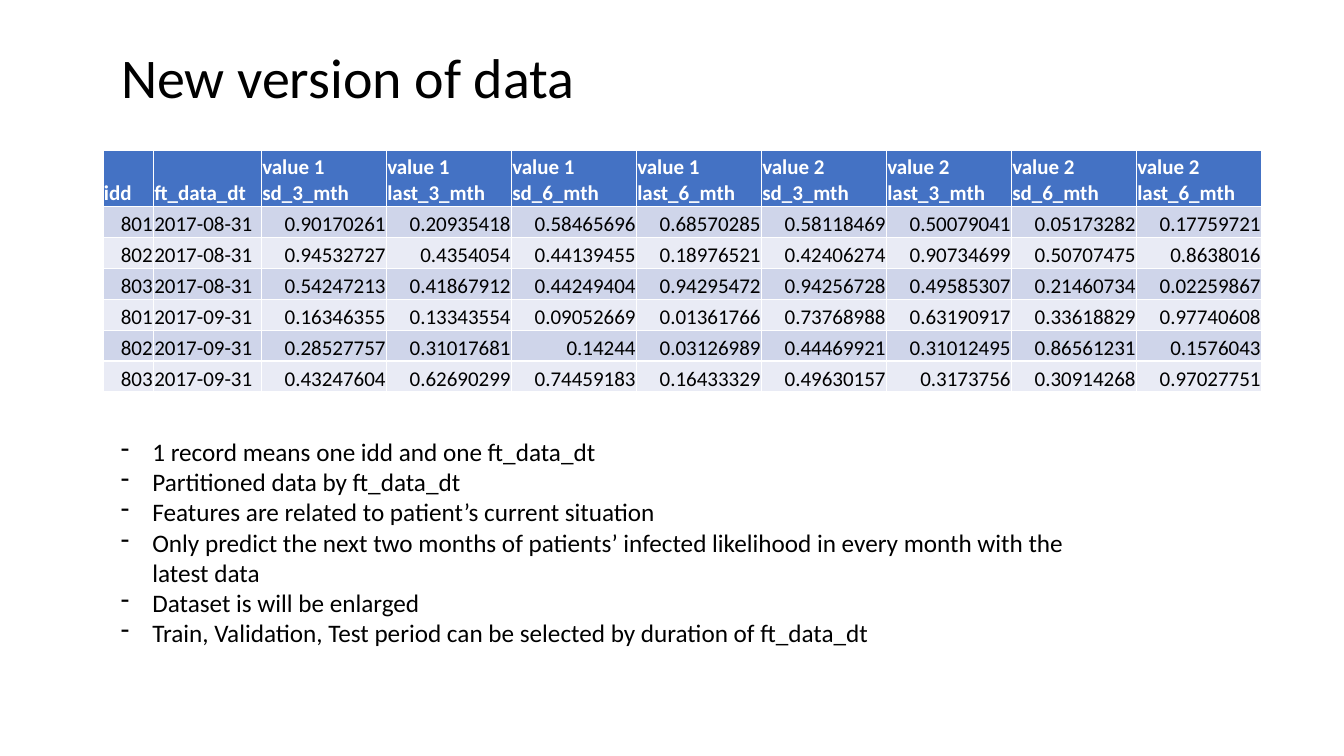
from lxml import etree
from pptx import Presentation
from pptx.dml.color import RGBColor
from pptx.enum import text
from pptx.oxml.ns import qn
from pptx.util import Cm, Pt

FONT = "Calibri"
BLACK = RGBColor(0x00, 0x00, 0x00)
WHITE = RGBColor(0xFF, 0xFF, 0xFF)
HEADER_BLUE = RGBColor(0x44, 0x72, 0xC4)
BANDS = [RGBColor(0xCF, 0xD5, 0xEA), RGBColor(0xE9, 0xEB, 0xF5)]

HEADER = ["idd", "ft_data_dt"] + [
    f"value {value} {statistic}_{months}_mth"
    for value in (1, 2) for months in (3, 6) for statistic in ("sd", "last")
]
RECORDS = [
    ["801", "2017-08-31", "0.90170261", "0.20935418", "0.58465696", "0.68570285",
     "0.58118469", "0.50079041", "0.05173282", "0.17759721"],
    ["802", "2017-08-31", "0.94532727", "0.4354054", "0.44139455", "0.18976521",
     "0.42406274", "0.90734699", "0.50707475", "0.8638016"],
    ["803", "2017-08-31", "0.54247213", "0.41867912", "0.44249404", "0.94295472",
     "0.94256728", "0.49585307", "0.21460734", "0.02259867"],
    ["801", "2017-09-31", "0.16346355", "0.13343554", "0.09052669", "0.01361766",
     "0.73768988", "0.63190917", "0.33618829", "0.97740608"],
    ["802", "2017-09-31", "0.28527757", "0.31017681", "0.14244", "0.03126989",
     "0.44469921", "0.31012495", "0.86561231", "0.1576043"],
    ["803", "2017-09-31", "0.43247604", "0.62690299", "0.74459183", "0.16433329",
     "0.49630157", "0.3173756", "0.30914268", "0.97027751"],
]
NOTES = [
    "1 record means one idd and one ft_data_dt",
    "Partitioned data by ft_data_dt",
    "Features are related to patient’s current situation",
    "Only predict the next two months of patients’ infected likelihood "
    "in every month with the latest data",
    "Dataset is will be enlarged",
    "Train, Validation, Test period can be selected by duration of ft_data_dt",
]
DATE_COLUMN = 1
COLUMN_WIDTHS = [Cm(1.27), Cm(2.72)] + [Cm(3.15)] * 8
ROW_HEIGHTS = [Cm(1.4)] + [Cm(0.78)] * len(RECORDS)


def add_span(para, words, size, color=BLACK, bold=False):
    span = para.add_run()
    span.text = words
    span.font.name = FONT
    span.font.size = Pt(size)
    span.font.bold = bold
    span.font.color.rgb = color


def place_title(page, left, top, width, height):
    title = page.shapes.title
    title.left, title.top, title.width, title.height = left, top, width, height
    title.text_frame.vertical_anchor = text.MSO_ANCHOR.MIDDLE
    para = title.text_frame.paragraphs[0]
    para.alignment = text.PP_ALIGN.LEFT
    para.line_spacing = 0.9
    add_span(para, "New version of data", 40)


def fill_cell(cell, words, fill, color, bold, alignment):
    cell.fill.solid()
    cell.fill.fore_color.rgb = fill
    cell.margin_left = cell.margin_right = cell.margin_top = Cm(0.02)
    cell.margin_bottom = 0
    cell.vertical_anchor = text.MSO_ANCHOR.BOTTOM
    para = cell.text_frame.paragraphs[0]
    para.alignment = alignment
    add_span(para, words, 15, color, bold)


def add_records(page, left, top):
    """Place the table; the default table style supplies its white rules."""
    table = page.shapes.add_table(
        len(ROW_HEIGHTS), len(COLUMN_WIDTHS), left, top,
        sum(COLUMN_WIDTHS), sum(ROW_HEIGHTS)).table
    for column, width in zip(table.columns, COLUMN_WIDTHS):
        column.width = width
    for row, height in zip(table.rows, ROW_HEIGHTS):
        row.height = height
    for column, words in enumerate(HEADER):
        fill_cell(table.cell(0, column), words, HEADER_BLUE, WHITE, True,
                  text.PP_ALIGN.LEFT)
    for row, record in enumerate(RECORDS):
        for column, words in enumerate(record):
            alignment = (text.PP_ALIGN.LEFT if column == DATE_COLUMN
                         else text.PP_ALIGN.RIGHT)
            fill_cell(table.cell(row + 1, column), words,
                      BANDS[row % len(BANDS)], BLACK, False, alignment)


def add_dash(para):
    """Give the paragraph a hanging dash as its bullet."""
    properties = para._p.get_or_add_pPr()
    properties.set("marL", str(Cm(0.79)))
    properties.set("indent", str(-Cm(0.79)))
    etree.SubElement(properties, qn("a:buFontTx"))
    etree.SubElement(properties, qn("a:buChar")).set("char", "-")


def add_notes(page, left, top, width, height):
    frame = page.shapes.add_textbox(left, top, width, height).text_frame
    frame.word_wrap = True
    frame.auto_size = text.MSO_AUTO_SIZE.SHAPE_TO_FIT_TEXT
    for index, note in enumerate(NOTES):
        para = frame.add_paragraph() if index else frame.paragraphs[0]
        add_dash(para)
        add_span(para, note, 18)


def main():
    deck = Presentation()
    deck.slide_width, deck.slide_height = Cm(33.87), Cm(19.05)
    page = deck.slides.add_slide(deck.slide_layouts[5])
    place_title(page, Cm(2.8), Cm(0.48), Cm(28.27), Cm(3.1))
    add_records(page, Cm(2.6), Cm(3.8))
    add_notes(page, Cm(2.8), Cm(10.87), Cm(24.74), Cm(5.64))
    deck.save("out.pptx")


if __name__ == "__main__":
    main()
